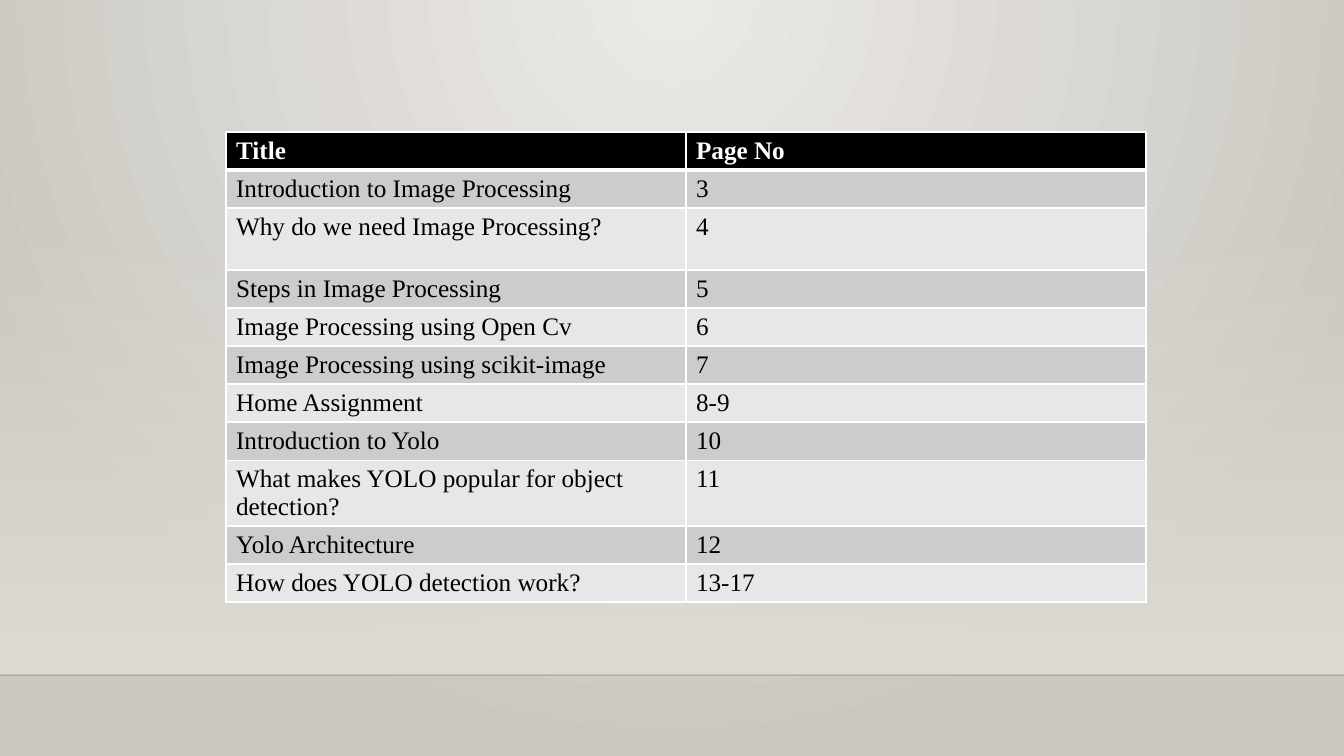
import pptx
import pptx.dml.color
import pptx.enum.shapes
import pptx.oxml
import pptx.oxml.ns
import pptx.util

# Content
HEADER = ("Title", "Page No")
CONTENTS = [
    ("Introduction to Image Processing", "3"),
    ("Why do we need Image Processing?", "4"),
    ("Steps in Image Processing", "5"),
    ("Image Processing using Open Cv", "6"),
    ("Image Processing using scikit-image", "7"),
    ("Home Assignment", "8-9"),
    ("Introduction to Yolo", "10"),
    ("What makes YOLO popular for object detection?", "11"),
    ("Yolo Architecture", "12"),
    ("How does YOLO detection work?", "13-17"),
]

# Theme
THEME = {
    "font": "Times New Roman", "size": 18,
    "header_text": "FFFFFF", "body_text": "000000", "header_fill": "000000",
    "bands": ("CCCCCC", "E7E7E7"), "border": "FFFFFF",
    "glow": "ECEAE7", "edge": "CAC7C1", "wall": "DFDBD5", "floor_line": "000001",
}

# Geometry in px
SLIDE_W, SLIDE_H = 1344, 756
WALL_TOP, FLOOR = 223, 675
TABLE_LEFT, TABLE_TOP, COL_W = 226, 132, 460
ROW_H, TALL_ROW_H, TALL_ROW = 36, 62, 2


def px(n):
    return pptx.util.Emu(round(n * 914400 / 100.8))


def rgb(name):
    return pptx.dml.color.RGBColor.from_string(name)


def xml(text):
    ns = pptx.oxml.ns.nsdecls("a", "p")
    tag, rest = text.split(">", 1)
    if tag.endswith("/"):
        return pptx.oxml.parse_xml(f"{tag[:-1]} {ns}/>{rest}")
    return pptx.oxml.parse_xml(f"{tag} {ns}>{rest}")


def gradient(start, end, shade, start_alpha=100):
    return (
        f'<a:gradFill rotWithShape="1"><a:gsLst>'
        f'<a:gs pos="0"><a:srgbClr val="{start}"><a:alpha val="{start_alpha * 1000}"/></a:srgbClr></a:gs>'
        f'<a:gs pos="100000"><a:srgbClr val="{end}"/></a:gs>'
        f'</a:gsLst>{shade}</a:gradFill>'
    )


def border(cell, side, points):
    cell._tc.get_or_add_tcPr().append(xml(
        f'<a:ln{side} w="{points * 12700}"><a:solidFill><a:srgbClr val="{THEME["border"]}"/>'
        f'</a:solidFill><a:prstDash val="solid"/></a:ln{side}>'))


def add_backdrop(s):
    # Round glow from the top centre
    circle = '<a:path path="circle"><a:fillToRect l="43000" t="0" r="43000" b="100000"/></a:path>'
    glow = gradient(THEME["glow"], THEME["edge"], circle)
    s._element.cSld.insert(0, xml(f"<p:bg><p:bgPr>{glow}<a:effectLst/></p:bgPr></p:bg>"))

    # Wall fading in towards the floor
    wall = s.shapes.add_shape(pptx.enum.shapes.MSO_SHAPE.RECTANGLE,
                              0, px(WALL_TOP), px(SLIDE_W), px(FLOOR - WALL_TOP))
    wall.shadow.inherit = False
    wall.line.fill.background()
    fade = gradient(THEME["wall"], THEME["wall"], '<a:lin ang="5400000" scaled="0"/>', 0)
    wall._element.spPr.find(pptx.oxml.ns.qn("a:prstGeom")).addnext(xml(fade))

    # Floor line
    line = s.shapes.add_connector(pptx.enum.shapes.MSO_CONNECTOR.STRAIGHT,
                                  0, px(FLOOR), px(SLIDE_W), px(FLOOR))
    line.line.width = pptx.util.Pt(1)
    line.line.color.rgb = rgb(THEME["floor_line"])
    colour = line._element.spPr.find(".//" + pptx.oxml.ns.qn("a:srgbClr"))
    colour.append(xml('<a:alpha val="20000"/>'))
    line._element.spPr.append(xml("<a:effectLst/>"))


def add_contents(s):
    rows = [HEADER] + CONTENTS
    heights = [TALL_ROW_H if i == TALL_ROW else ROW_H for i in range(len(rows))]
    table = s.shapes.add_table(len(rows), len(HEADER), px(TABLE_LEFT), px(TABLE_TOP),
                               px(COL_W * len(HEADER)), px(sum(heights))).table
    for col in table.columns:
        col.width = px(COL_W)
    for i, row in enumerate(rows):
        table.rows[i].height = px(heights[i])
        header = i == 0
        fill = THEME["header_fill"] if header else THEME["bands"][(i - 1) % 2]
        for j, text in enumerate(row):
            cell = table.cell(i, j)
            for side in "LRTB":
                under_header = (i, side) in ((0, "B"), (1, "T"))
                border(cell, side, 3 if under_header else 1)
            cell.fill.solid()
            cell.fill.fore_color.rgb = rgb(fill)
            p = cell.text_frame.paragraphs[0]
            p.text = text
            font = p.runs[0].font
            font.name = THEME["font"]
            font.size = pptx.util.Pt(THEME["size"])
            font.bold = header
            font.color.rgb = rgb(THEME["header_text" if header else "body_text"])


def main():
    prs = pptx.Presentation()
    prs.slide_width, prs.slide_height = px(SLIDE_W), px(SLIDE_H)
    s = prs.slides.add_slide(prs.slide_layouts[6])
    add_backdrop(s)
    add_contents(s)
    prs.save("out.pptx")


if __name__ == "__main__":
    main()
